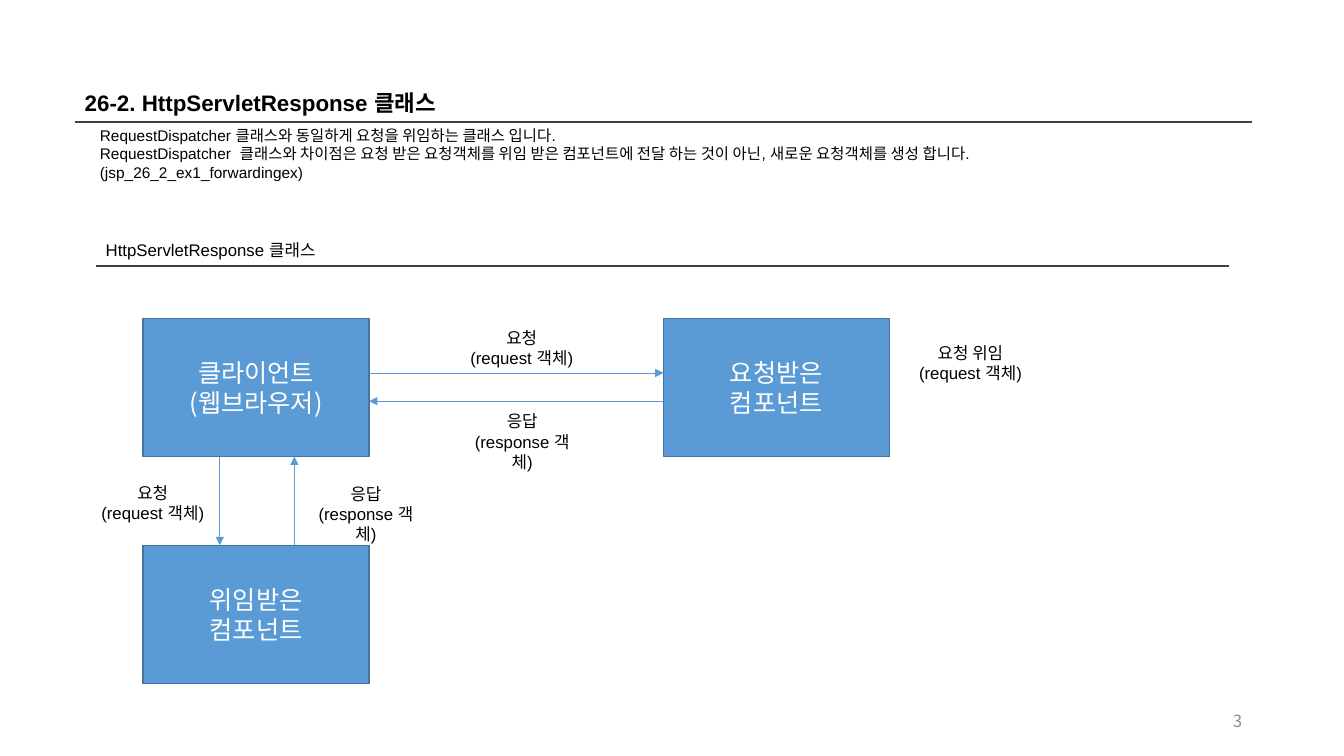
from lxml import etree
from pptx import Presentation
from pptx.dml.color import RGBColor
from pptx.enum.shapes import MSO_CONNECTOR, MSO_SHAPE
from pptx.enum.text import MSO_ANCHOR, MSO_AUTO_SIZE, PP_ALIGN
from pptx.oxml.ns import qn
from pptx.util import Inches, Pt

LEFT, CENTER, RIGHT = PP_ALIGN.LEFT, PP_ALIGN.CENTER, PP_ALIGN.RIGHT
TOP, MIDDLE = MSO_ANCHOR.TOP, MSO_ANCHOR.MIDDLE
LATIN, KOREAN = "Arial", "Noto Sans CJK KR"
BLACK, WHITE, GRAY, DARK = "000000", "FFFFFF", "8C8C8C", "404040"
BLUE, EDGE = "5B9BD5", "43739E"

TITLE = ["26-2. HttpServletResponse 클래스"]
BODY = [
    "RequestDispatcher 클래스와 동일하게 요청을 위임하는 클래스 입니다.",
    "RequestDispatcher  클래스와 차이점은 요청 받은 요청객체를 위임 받은 컴포넌트에 "
    "전달 하는 것이 아닌, 새로운 요청객체를 생성 합니다.",
    "(jsp_26_2_ex1_forwardingex)",
]
HEAD = ["HttpServletResponse 클래스"]
PAGE = ["3"]

COL1, COL2, ROW1, ROW2 = 1.42, 6.58, 3.16, 5.41
BOX_W, BOX_H = 2.24, 1.37
BOXES = [
    (COL1, ROW1, ["클라이언트", "(웹브라우저)"]),
    (COL2, ROW1, ["요청받은", "컴포넌트"]),
    (COL1, ROW2, ["위임받은", "컴포넌트"]),
]
ASK, REPLY = "(request 객체)", "(response 객체)"
WIDTHS = {ASK: 1.25, REPLY: 1.34}
LABELS = [
    (4.55, 3.2, "요청", ASK),
    (9, 3.35, "요청 위임", ASK),
    (4.51, 4.03, "응답", REPLY),
    (2.96, 4.75, "응답", REPLY),
    (0.89, 4.74, "요청", ASK),
]
EAST, SOUTH = COL1 + BOX_W, ROW1 + BOX_H
RULES = [(0.74, 1.21, 12.42, 1.21), (0.95, 2.64, 12.19, 2.64)]
ARROWS = [
    (EAST, 3.7, COL2, 3.7),
    (COL2, 3.98, EAST, 3.98),
    (2.18, SOUTH, 2.18, ROW2),
    (2.92, ROW2, 2.92, SOUTH),
]


def color(code):
    return RGBColor.from_string(code)


def write(shape, lines, size, font=LATIN, ink=BLACK, align=LEFT, anchor=TOP, bold=False):
    frame = shape.text_frame
    frame.text = "\n".join(lines)
    frame.word_wrap = True
    frame.auto_size = MSO_AUTO_SIZE.NONE
    frame.vertical_anchor = anchor
    for para in frame.paragraphs:
        para.alignment = align
        para.space_before = Pt(0)
        para.font.name = font
        para.font.size = Pt(size)
        para.font.bold = bold
        para.font.color.rgb = color(ink)


def place(shape, x, y, w, h):
    shape.left, shape.top = Inches(x), Inches(y)
    shape.width, shape.height = Inches(w), Inches(h)


def plain(shape):
    """Remove bullets and hanging indents."""
    for para in shape.text_frame.paragraphs:
        props = para._p.get_or_add_pPr()
        props.set("marL", "0")
        props.set("indent", "0")
        mark = etree.Element(qn("a:buNone"))
        props.find(qn("a:defRPr")).addprevious(mark)


def text_box(shapes, x, y, w, h, lines, size, **style):
    box = shapes.add_textbox(Inches(x), Inches(y), Inches(w), Inches(h))
    write(box, lines, size, **style)


def draw_line(shapes, ends, ink, width, arrow=False):
    line = shapes.add_connector(MSO_CONNECTOR.STRAIGHT, *map(Inches, ends))
    line.line.color.rgb = color(ink)
    line.line.width = Pt(width)
    if arrow:
        etree.SubElement(line.line._get_or_add_ln(), qn("a:tailEnd"), type="triangle")
    etree.SubElement(line._element.spPr, qn("a:effectLst"))


def main():
    deck = Presentation()
    deck.slide_width, deck.slide_height = Inches(13.33), Inches(7.5)
    slide = deck.slides.add_slide(deck.slide_layouts[1])
    shapes = slide.shapes

    title, body = shapes.title, slide.placeholders[1]
    place(title, 0.74, 0.83, 11.68, 0.37)
    write(title, TITLE, 16, bold=True)
    place(body, 0.89, 1.2, 11.68, 0.66)
    write(body, BODY, 11)
    plain(body)

    text_box(shapes, 0.95, 2.33, 10.91, 0.31, HEAD, 12)
    text_box(shapes, 9.42, 6.95, 3, 0.4, PAGE, 12, font=KOREAN,
             ink=GRAY, align=RIGHT, anchor=MIDDLE)
    for ends in RULES:
        draw_line(shapes, ends, DARK, 1)

    for x, y, lines in BOXES:
        box = shapes.add_shape(MSO_SHAPE.RECTANGLE, Inches(x), Inches(y),
                               Inches(BOX_W), Inches(BOX_H))
        box.shadow.inherit = False
        box.fill.solid()
        box.fill.fore_color.rgb = color(BLUE)
        box.line.color.rgb = color(EDGE)
        box.line.width = Pt(1)
        write(box, lines, 18, font=KOREAN, ink=WHITE, align=CENTER, anchor=MIDDLE)
    for ends in ARROWS:
        draw_line(shapes, ends, BLUE, 0.5, arrow=True)
    for x, y, name, kind in LABELS:
        text_box(shapes, x, y, WIDTHS[kind], 0.5, [name, kind], 12, align=CENTER)

    deck.save("out.pptx")


if __name__ == "__main__":
    main()
